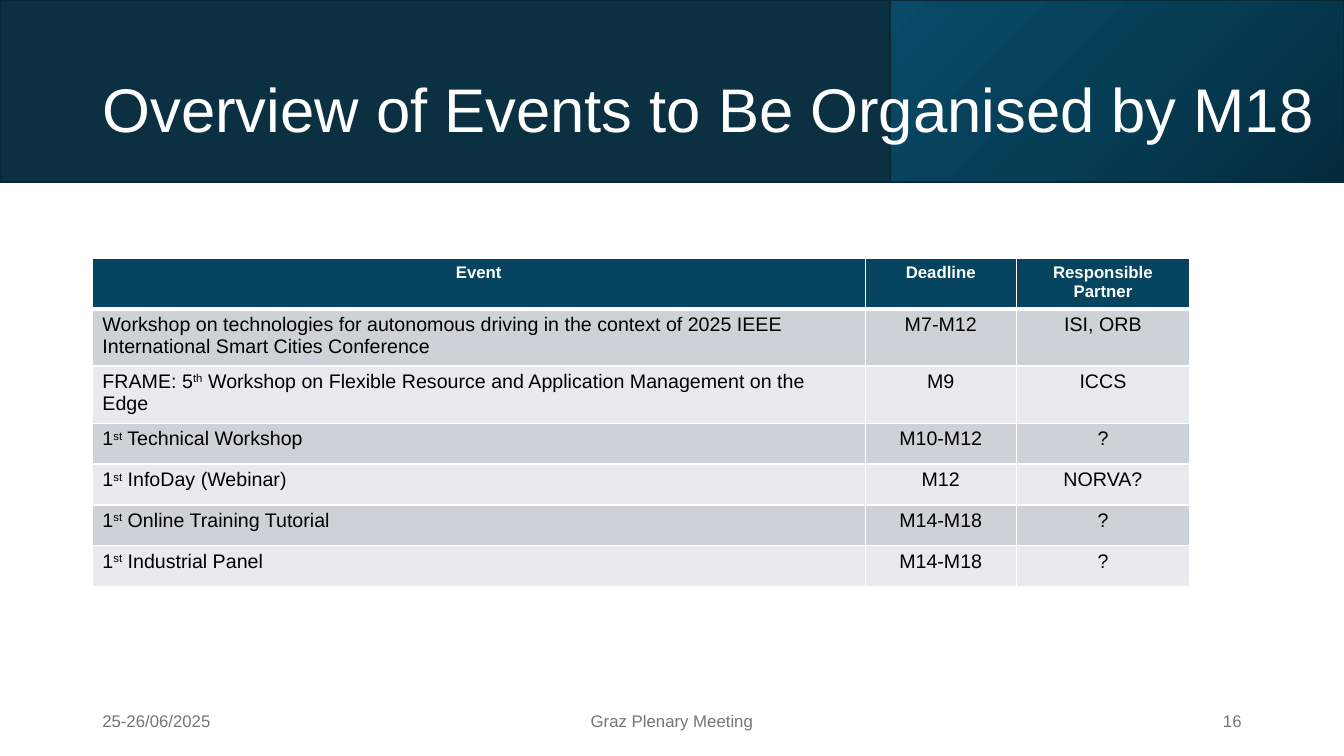
from copy import deepcopy
from dataclasses import dataclass

from lxml import etree
from pptx import Presentation
from pptx import util as u
from pptx.dml.color import RGBColor
from pptx.enum import shapes, text
from pptx.oxml.ns import qn

EMU_PER_PX = 9525


@dataclass(frozen=True)
class Theme:
    font: str = "Arial"
    white: str = "FFFFFF"
    black: str = "000000"
    grey: str = "757575"
    banner: str = "0A3041"
    banner_edge: str = "082836"
    gradient: tuple[str, ...] = ("042A3B", "063E56", "084A67")
    header: str = "07445F"
    bands: tuple[str, str] = ("CCD2D8", "E8EAED")
    title_size: int = 44
    small_size: int = 12
    body_size: int = 14


@dataclass(frozen=True)
class Box:
    left: int
    top: int
    width: int
    height: int

    def emu(self) -> list[int]:
        return [px(n) for n in (self.left, self.top, self.width, self.height)]


@dataclass(frozen=True)
class Event:
    name: str  # "^" encloses a superscript
    deadline: str
    partner: str


@dataclass(frozen=True)
class FooterItem:
    label: str
    box: Box
    align: text.PP_ALIGN


THEME = Theme()
LEFT, CENTER, RIGHT = text.PP_ALIGN.LEFT, text.PP_ALIGN.CENTER, text.PP_ALIGN.RIGHT

HEADINGS = ("Event", "Deadline", "Responsible Partner")
EVENTS = (
    Event("Workshop on technologies for autonomous driving in the context of 2025 IEEE "
          "International Smart Cities Conference", "M7-M12", "ISI, ORB"),
    Event("FRAME: 5^th^ Workshop on Flexible Resource and Application Management on the Edge",
          "M9", "ICCS"),
    Event("1^st^ Technical Workshop", "M10-M12", "?"),
    Event("1^st^ InfoDay (Webinar)", "M12", "NORVA?"),
    Event("1^st^ Online Training Tutorial", "M14-M18", "?"),
    Event("1^st^ Industrial Panel", "M14-M18", "?"),
)
COLUMN_WIDTHS = (736, 144, 165)
ROW_HEIGHT = 39
FOOTER = (
    FooterItem("25-26/06/2025", Box(88, 667, 288, 38), LEFT),
    FooterItem("Graz Plenary Meeting", Box(424, 667, 432, 38), CENTER),
    FooterItem("16", Box(904, 667, 288, 38), RIGHT),
)


def px(length: int) -> int:
    return u.Emu(length * EMU_PER_PX)


def rgb(colour: str) -> RGBColor:
    return RGBColor.from_string(colour)


def style(paragraph, size: int, colour: str, align: text.PP_ALIGN, bold: bool = False) -> None:
    paragraph.alignment = align
    font = paragraph.font
    font.name, font.size, font.bold = THEME.font, u.Pt(size), bold
    font.color.rgb = rgb(colour)


def add_banner(slide, box: Box):
    banner = slide.shapes.add_shape(shapes.MSO_SHAPE.RECTANGLE, *box.emu())
    banner.shadow.inherit = False
    banner.line.color.rgb = rgb(THEME.banner_edge)
    banner.line.width = u.Pt(1.5)
    return banner


def fill_gradient(fill, shape, colours: tuple[str, ...]) -> None:
    fill.gradient()
    fill.gradient_angle = 135
    stop_list = shape.element.find(".//" + qn("a:gsLst"))
    while len(stop_list) < len(colours):
        stop_list.append(deepcopy(stop_list[0]))
    for i, (stop, colour) in enumerate(zip(fill.gradient_stops, colours)):
        stop.position = i / (len(colours) - 1)
        stop.color.rgb = rgb(colour)


def add_title(slide, title_text: str, box: Box) -> None:
    title = slide.shapes.title
    title.left, title.top, title.width, title.height = box.emu()
    frame = title.text_frame
    frame.text = title_text
    frame.auto_size = text.MSO_AUTO_SIZE.NONE
    frame.vertical_anchor = text.MSO_ANCHOR.MIDDLE
    frame.paragraphs[0].line_spacing = 0.9
    style(frame.paragraphs[0], THEME.title_size, THEME.white, LEFT)
    # Bring the title in front of the banner
    title.element.getparent().append(title.element)


def add_footer_item(slide, item: FooterItem) -> None:
    frame = slide.shapes.add_textbox(*item.box.emu()).text_frame
    frame.word_wrap = True
    frame.vertical_anchor = text.MSO_ANCHOR.MIDDLE
    frame.text = item.label
    style(frame.paragraphs[0], THEME.small_size, THEME.grey, item.align)


def set_borders(cell, top: int, bottom: int) -> None:
    properties = cell._tc.get_or_add_tcPr()
    for side, points in (("L", 1), ("R", 1), ("T", top), ("B", bottom)):
        line = etree.SubElement(properties, qn(f"a:ln{side}"), w=str(u.Pt(points)))
        solid = etree.SubElement(line, qn("a:solidFill"))
        etree.SubElement(solid, qn("a:srgbClr"), val=THEME.white)


def write_marked(paragraph, marked: str) -> None:
    for i, part in enumerate(marked.split("^")):
        run = paragraph.add_run()
        run.text = part
        if i % 2:
            run._r.get_or_add_rPr().set("baseline", "30000")


def add_events_table(slide, left: int, top: int) -> None:
    rows = [HEADINGS] + [(e.name, e.deadline, e.partner) for e in EVENTS]
    box = Box(left, top, sum(COLUMN_WIDTHS), ROW_HEIGHT * len(rows))
    table = slide.shapes.add_table(len(rows), len(HEADINGS), *box.emu()).table
    for column, width in zip(table.columns, COLUMN_WIDTHS):
        column.width = px(width)
    for r, row in enumerate(rows):
        is_header = r == 0
        for c, entry in enumerate(row):
            cell = table.cell(r, c)
            set_borders(cell, top=3 if r == 1 else 1, bottom=3 if is_header else 1)
            cell.fill.solid()
            cell.fill.fore_color.rgb = rgb(THEME.header if is_header else THEME.bands[(r - 1) % 2])
            paragraph = cell.text_frame.paragraphs[0]
            write_marked(paragraph, entry)
            if is_header:
                style(paragraph, THEME.small_size, THEME.white, CENTER, bold=True)
            else:
                style(paragraph, THEME.body_size, THEME.black, CENTER if c else LEFT)


def main() -> None:
    prs = Presentation()
    prs.slide_width, prs.slide_height = px(1280), px(720)
    slide = prs.slides.add_slide(prs.slide_layouts[5])

    # Banner and title
    wide = add_banner(slide, Box(0, 0, 1280, 173))
    wide.fill.solid()
    wide.fill.fore_color.rgb = rgb(THEME.banner)
    accent = add_banner(slide, Box(848, 0, 432, 173))
    fill_gradient(accent.fill, accent, THEME.gradient)
    add_title(slide, "Overview of Events to Be Organised by M18", Box(88, 38, 1179, 139))

    # Footer
    for item in FOOTER:
        add_footer_item(slide, item)

    # Events
    add_events_table(slide, left=88, top=246)

    prs.save("out.pptx")


if __name__ == "__main__":
    main()
